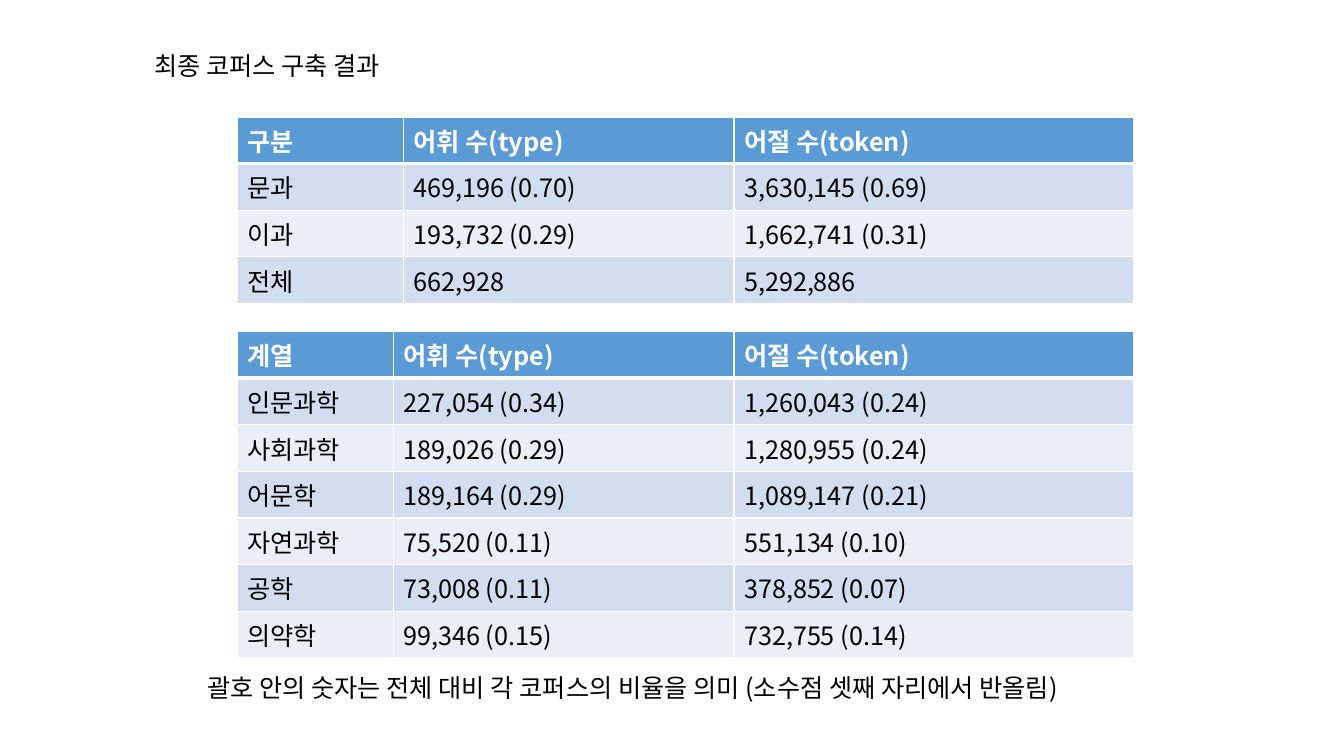
import lxml.etree
import pptx
import pptx.dml.color
import pptx.enum.text
import pptx.oxml.ns
import pptx.util

FONT = "Noto Sans CJK KR"
WHITE, BLACK, HEADER = "FFFFFF", "000000", "5B9BD5"
BANDS = ("D2DEEF", "EAEFF7")
SLIDE_WIDTH = pptx.util.Inches(13.33)
SLIDE_HEIGHT = pptx.util.Inches(7.5)
TABLE_LEFT, TABLE_WIDTH, TOKEN_WIDTH, ROW_HEIGHT = 17.63, 66.7, 29.71, 5.41

FIELDS = [
    ("계열", "어휘 수(type)", "어절 수(token)"),
    ("인문과학", "227,054 (0.34)", "1,260,043 (0.24)"),
    ("사회과학", "189,026 (0.29)", "1,280,955 (0.24)"),
    ("어문학", "189,164 (0.29)", "1,089,147 (0.21)"),
    ("자연과학", "75,520 (0.11)", "551,134 (0.10)"),
    ("공학", "73,008 (0.11)", "378,852 (0.07)"),
    ("의약학", "99,346 (0.15)", "732,755 (0.14)"),
]
DIVISIONS = [
    ("구분", "어휘 수(type)", "어절 수(token)"),
    ("문과", "469,196 (0.70)", "3,630,145 (0.69)"),
    ("이과", "193,732 (0.29)", "1,662,741 (0.31)"),
    ("전체", "662,928", "5,292,886"),
]


def across(percent):
    """Return a percentage of the slide width."""
    return round(SLIDE_WIDTH * percent / 100)


def down(percent):
    """Return a percentage of the slide height."""
    return round(SLIDE_HEIGHT * percent / 100)


def color(value):
    """Return the colour for a hex string."""
    return pptx.dml.color.RGBColor.from_string(value)


def style_text(frame, shade, bold=False):
    """Format every run of a text frame, for Latin and Korean letters alike."""
    for para in frame.paragraphs:
        for span in para.runs:
            span.font.name = FONT
            span.font.size = pptx.util.Pt(18)
            span.font.bold = bold
            span.font.color.rgb = color(shade)
            properties = span.font._element
            lxml.etree.SubElement(properties, pptx.oxml.ns.qn("a:ea"), typeface=FONT)


def add_border(cell, side, points):
    """Draw a white border on one side of a cell."""
    line = lxml.etree.SubElement(
        cell._tc.get_or_add_tcPr(),
        pptx.oxml.ns.qn(f"a:ln{side}"),
        w=str(pptx.util.Pt(points)),
    )
    fill = lxml.etree.SubElement(line, pptx.oxml.ns.qn("a:solidFill"))
    lxml.etree.SubElement(fill, pptx.oxml.ns.qn("a:srgbClr"), val=WHITE)


def style_cell(cell, row_index):
    """Give a cell its borders, band colour and text format."""
    is_header = row_index == 0
    heavy_side = {0: "B", 1: "T"}.get(row_index)
    for side in "LRTB":
        add_border(cell, side, 3 if side == heavy_side else 1)
    cell.fill.solid()
    cell.fill.fore_color.rgb = color(HEADER if is_header else BANDS[(row_index - 1) % 2])
    style_text(cell.text_frame, WHITE if is_header else BLACK, is_header)


def add_count_table(page, top, label_width, records):
    """Add a table of type and token counts."""
    table = page.shapes.add_table(
        len(records), len(records[0]),
        across(TABLE_LEFT), down(top),
        across(TABLE_WIDTH), down(ROW_HEIGHT * len(records)),
    ).table
    widths = (label_width, TABLE_WIDTH - label_width - TOKEN_WIDTH, TOKEN_WIDTH)
    for column, width in zip(table.columns, widths):
        column.width = across(width)
    for row_index, record in enumerate(records):
        table.rows[row_index].height = down(ROW_HEIGHT)
        for column_index, content in enumerate(record):
            cell = table.cell(row_index, column_index)
            cell.text_frame.text = content
            style_cell(cell, row_index)


def add_caption(page, left, top, width, content):
    """Add a single line of text that sizes its box."""
    box = page.shapes.add_textbox(across(left), down(top), across(width), down(5.39))
    frame = box.text_frame
    frame.word_wrap = False
    frame.auto_size = pptx.enum.text.MSO_AUTO_SIZE.SHAPE_TO_FIT_TEXT
    frame.text = content
    style_text(frame, BLACK)


def main():
    """Build the corpus result slide."""
    deck = pptx.Presentation()
    deck.slide_width, deck.slide_height = SLIDE_WIDTH, SLIDE_HEIGHT
    page = deck.slides.add_slide(deck.slide_layouts[6])
    add_count_table(page, 43.87, 11.63, FIELDS)
    add_count_table(page, 15.47, 12.38, DIVISIONS)
    add_caption(
        page, 14.7, 88.27, 72.54,
        "괄호 안의 숫자는 전체 대비 각 코퍼스의 비율을 의미 (소수점 셋째 자리에서 반올림)",
    )
    add_caption(page, 10.73, 6, 20.56, "최종 코퍼스 구축 결과")
    deck.save("out.pptx")


if __name__ == "__main__":
    main()
